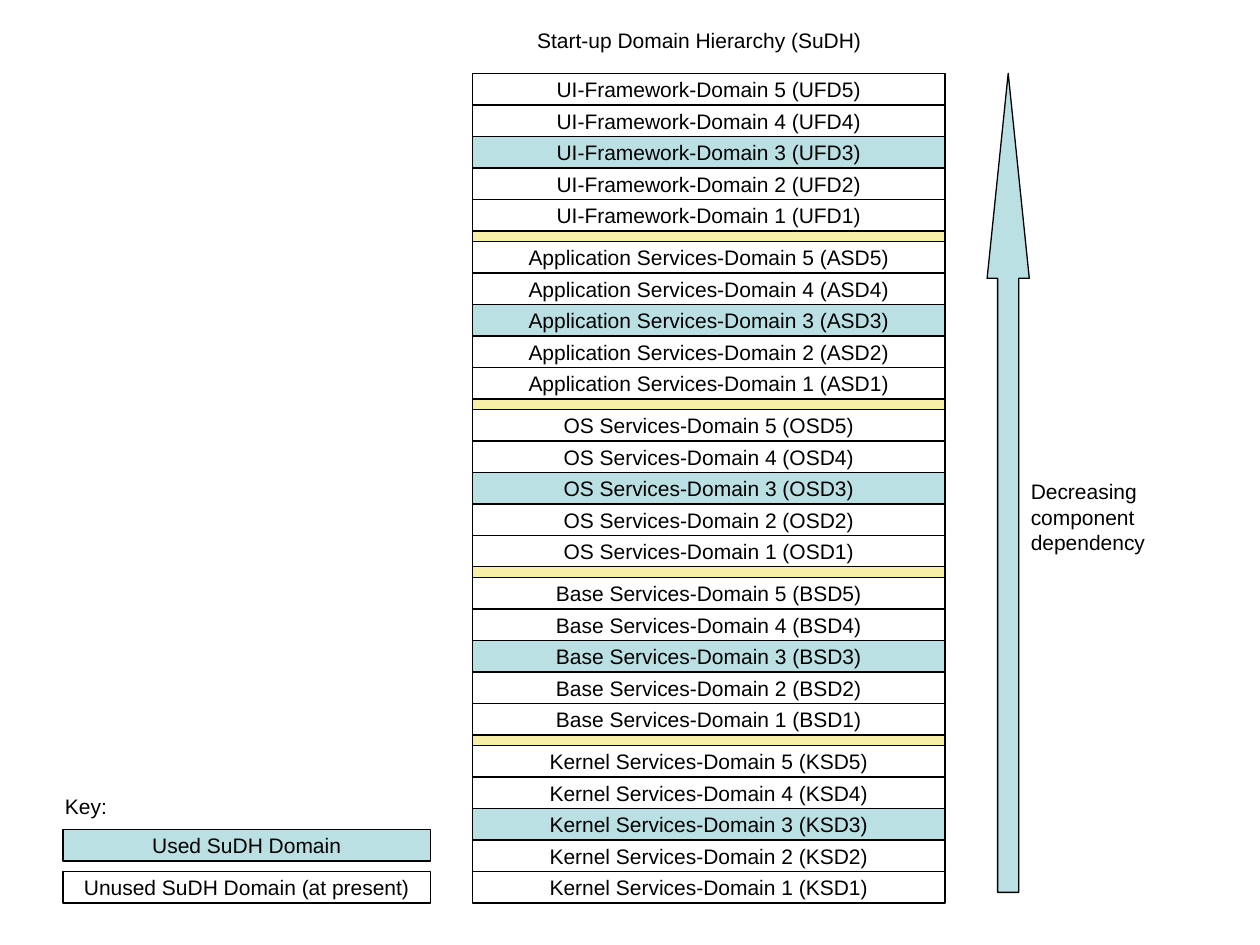
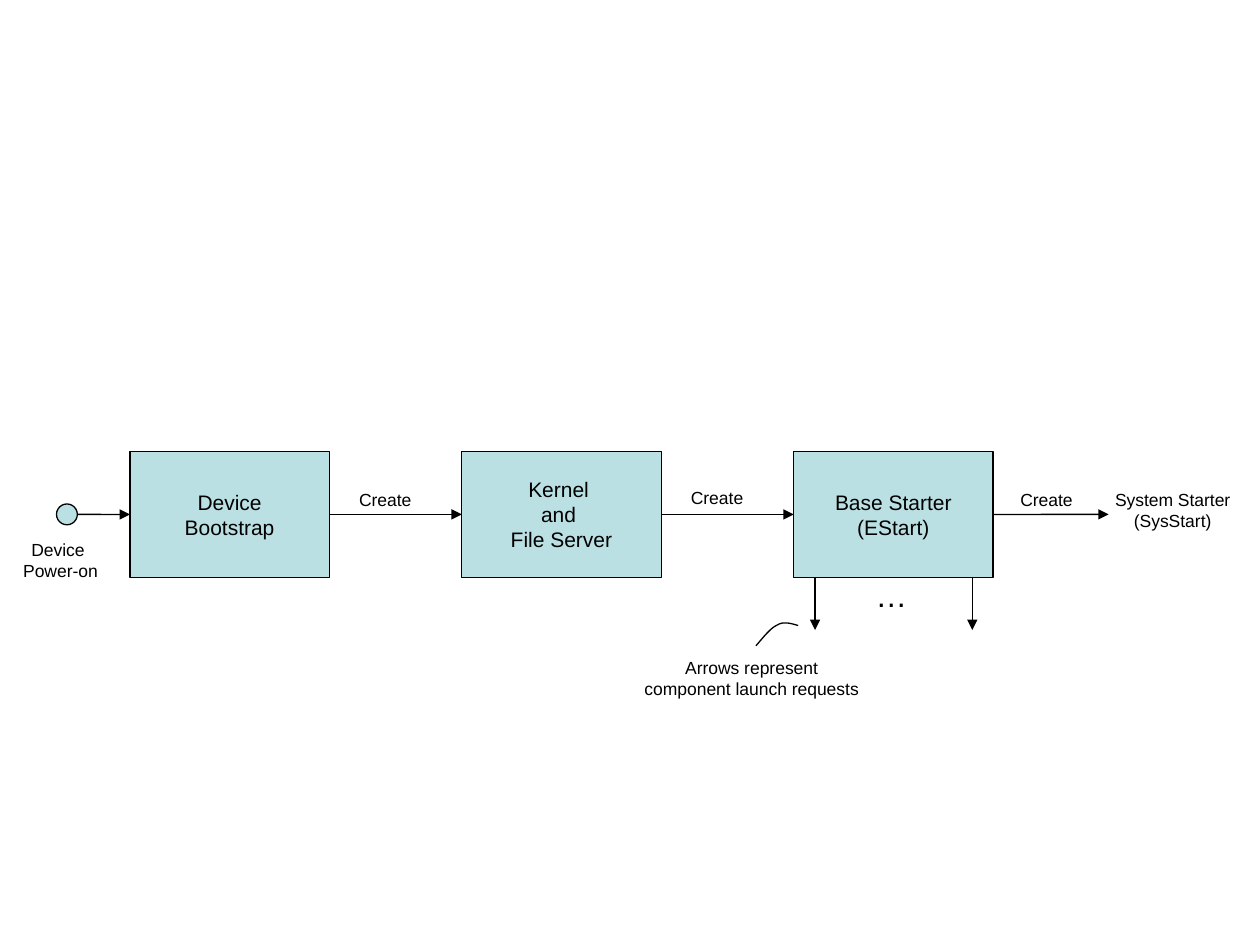
from dataclasses import dataclass

from lxml import etree
from pptx import Presentation
from pptx.dml.color import RGBColor
from pptx.enum.shapes import MSO_CONNECTOR as Link, MSO_SHAPE as Kind
from pptx.enum.text import MSO_ANCHOR as Anchor, MSO_AUTO_SIZE as Fit, PP_ALIGN as Align
from pptx.oxml.ns import qn
from pptx.shapes.autoshape import Shape
from pptx.shapes.connector import Connector
from pptx.slide import Slide
from pptx.util import Cm, Pt

FONT = "Arial"
BLACK, WHITE, TEAL, SAND = "000000", "FFFFFF", "BBE0E3", "F7EFA7"
EDGE = Pt(0.75)

# Domain stack, in cm
LEFT, TOP, WIDE = 9.53, 1.48, 9.52
ROW = 1.27 / 2
GAP = ROW / 3
LEVELS = 5
USED = 3
GROUPS = [
    ("UI-Framework", "UFD"),
    ("Application Services", "ASD"),
    ("OS Services", "OSD"),
    ("Base Services", "BSD"),
    ("Kernel Services", "KSD"),
]

# Start-up chain, in cm
STEPS = ["Device\nBootstrap", "Kernel \nand \nFile Server", "Base Starter\n(EStart)"]
STEP_X, STEP_Y, STEP_W, STEP_H = 2.62, 9.1, 4.02, 2.54
PITCH = 6.69
MID = STEP_Y + STEP_H / 2
FOOT = STEP_Y + STEP_H


@dataclass
class Box:
    """A bordered shape, measured in cm; fill None leaves it clear."""
    left: float
    top: float
    width: float
    height: float
    text: str = ""
    fill: str | None = None
    kind: Kind = Kind.RECTANGLE


@dataclass
class Note:
    """Borderless text that grows to fit, measured in cm."""
    left: float
    top: float
    width: float
    height: float
    text: str
    size: int = 10
    align: Align = Align.CENTER
    fill: str | None = None


def tint(code: str) -> RGBColor:
    return RGBColor.from_string(code)


def paint(shape: Shape, fill: str | None) -> None:
    if fill:
        shape.fill.solid()
        shape.fill.fore_color.rgb = tint(fill)
    else:
        shape.fill.background()


def ink(item: Shape | Connector) -> None:
    item.line.color.rgb = tint(BLACK)
    item.line.width = EDGE


def write(shape: Shape, text: str, *, size: int = 12, align: Align = Align.CENTER,
          anchor: Anchor = Anchor.MIDDLE, fit: Fit = Fit.NONE) -> None:
    frame = shape.text_frame
    frame.text = text
    frame.word_wrap = False
    frame.auto_size = fit
    frame.vertical_anchor = anchor
    for para in frame.paragraphs:
        para.alignment = align
        para.font.name = FONT
        para.font.size = Pt(size)
        para.font.color.rgb = tint(BLACK)


def draw(slide: Slide, box: Box) -> Shape:
    shape = slide.shapes.add_shape(box.kind, Cm(box.left), Cm(box.top),
                                   Cm(box.width), Cm(box.height))
    shape.shadow.inherit = False
    paint(shape, box.fill)
    ink(shape)
    if box.text:
        write(shape, box.text)
    return shape


def label(slide: Slide, note: Note) -> None:
    shape = slide.shapes.add_textbox(Cm(note.left), Cm(note.top),
                                     Cm(note.width), Cm(note.height))
    paint(shape, note.fill)
    write(shape, note.text, size=note.size, align=note.align,
          anchor=Anchor.TOP, fit=Fit.SHAPE_TO_FIT_TEXT)


def arrow(slide: Slide, x1: float, y1: float, x2: float, y2: float,
          start: Shape | None = None, end: Shape | None = None) -> None:
    """Draw an arrow, joined to the right of start and the left of end."""
    line = slide.shapes.add_connector(Link.STRAIGHT, Cm(x1), Cm(y1), Cm(x2), Cm(y2))
    ink(line)
    if start:
        line.begin_connect(start, 3)
    if end:
        line.end_connect(end, 1)
    etree.SubElement(line.line._get_or_add_ln(), qn("a:tailEnd"), type="triangle")
    etree.SubElement(line._element.spPr, qn("a:effectLst"))


def curve(slide: Slide, *arcs: list[tuple[float, float]], parts: int = 12) -> None:
    """Draw joined cubic arcs, each given by four points in cm."""
    dots = []
    for arc in arcs:
        for step in range(parts + 1):
            t = step / parts
            s = 1 - t
            rates = (s**3, 3 * s * s * t, 3 * s * t * t, t**3)
            dots.append(tuple(Cm(sum(r * p[axis] for r, p in zip(rates, arc)))
                              for axis in (0, 1)))
    path = slide.shapes.build_freeform(*dots[0])
    path.add_line_segments(dots[1:], close=False)
    shape = path.convert_to_shape()
    shape.shadow.inherit = False
    paint(shape, None)
    ink(shape)


def stack(slide: Slide) -> None:
    """Slide 1: the domain hierarchy with its key."""
    y = TOP
    for place, (name, code) in enumerate(GROUPS):
        if place:
            draw(slide, Box(LEFT, y, WIDE, GAP, fill=SAND))
            y += GAP
        for level in range(LEVELS, 0, -1):
            draw(slide, Box(LEFT, y, WIDE, ROW, f"{name}-Domain {level} ({code}{level})",
                            TEAL if level == USED else None))
            y += ROW

    base = y - ROW
    draw(slide, Box(1.27, base - ROW - GAP, 7.41, ROW, "Used SuDH Domain", TEAL))
    draw(slide, Box(1.27, base, 7.41, ROW, "Unused SuDH Domain (at present)"))

    rise = draw(slide, Box(19.9, TOP, 0.85, 16.51, fill=TEAL, kind=Kind.UP_ARROW))
    rise.adjustments[0] = 0.5
    rise.adjustments[1] = 4.86

    for note in (
        Note(10.58, 0.43, 7.04, 0.76, "Start-up Domain Hierarchy (SuDH)", 12, Align.LEFT),
        Note(1.06, 15.88, 1.35, 0.76, "Key:", 12, Align.LEFT),
        Note(20.53, 9.53, 2.82, 1.78, "Decreasing\ncomponent\ndependency", 12, Align.LEFT),
    ):
        label(slide, note)


def chain(slide: Slide) -> None:
    """Slide 2: the steps from power-on to the system starter."""
    for x, y in ((6.94, 9.73), (13.63, 9.7), (20.27, 9.73)):
        label(slide, Note(x, y, 1.65, 0.69, "Create", fill=WHITE))

    steps = [draw(slide, Box(STEP_X + i * PITCH, STEP_Y, STEP_W, STEP_H, text, TEAL))
             for i, text in enumerate(STEPS)]
    size = 0.42
    draw(slide, Box(1.14, MID - size / 2, size, size, fill=TEAL, kind=Kind.OVAL))

    arrow(slide, 1.14 + size, MID, STEP_X, MID, end=steps[0])
    for i, (start, end) in enumerate(zip(steps, steps[1:])):
        x = STEP_X + i * PITCH
        arrow(slide, x + STEP_W, MID, x + PITCH, MID, start, end)
    arrow(slide, 20.02, MID, 22.35, MID, start=steps[-1])
    for x in (16.43, 19.6):
        arrow(slide, x, FOOT, x, 12.7)

    curve(slide,
          [(15.24, 13.02), (15.39, 12.85), (15.52, 12.67), (15.67, 12.6)],
          [(15.67, 12.6), (15.8, 12.52), (15.95, 12.57), (16.09, 12.61)])

    for note in (
        Note(0.17, 10.74, 2.1, 1.12, "Device \nPower-on"),
        Note(12.69, 13.12, 4.92, 1.12, "Arrows represent\ncomponent launch requests"),
        Note(17.4, 11.48, 1.14, 1.02, "…", 18, Align.LEFT),
        Note(22.14, 9.73, 3, 1.12, "System Starter\n(SysStart)"),
    ):
        label(slide, note)


def main() -> None:
    deck = Presentation()
    deck.slide_width, deck.slide_height = Cm(25.4), Cm(19.05)
    for build in (stack, chain):
        build(deck.slides.add_slide(deck.slide_layouts[6]))
    deck.save("out.pptx")


if __name__ == "__main__":
    main()
